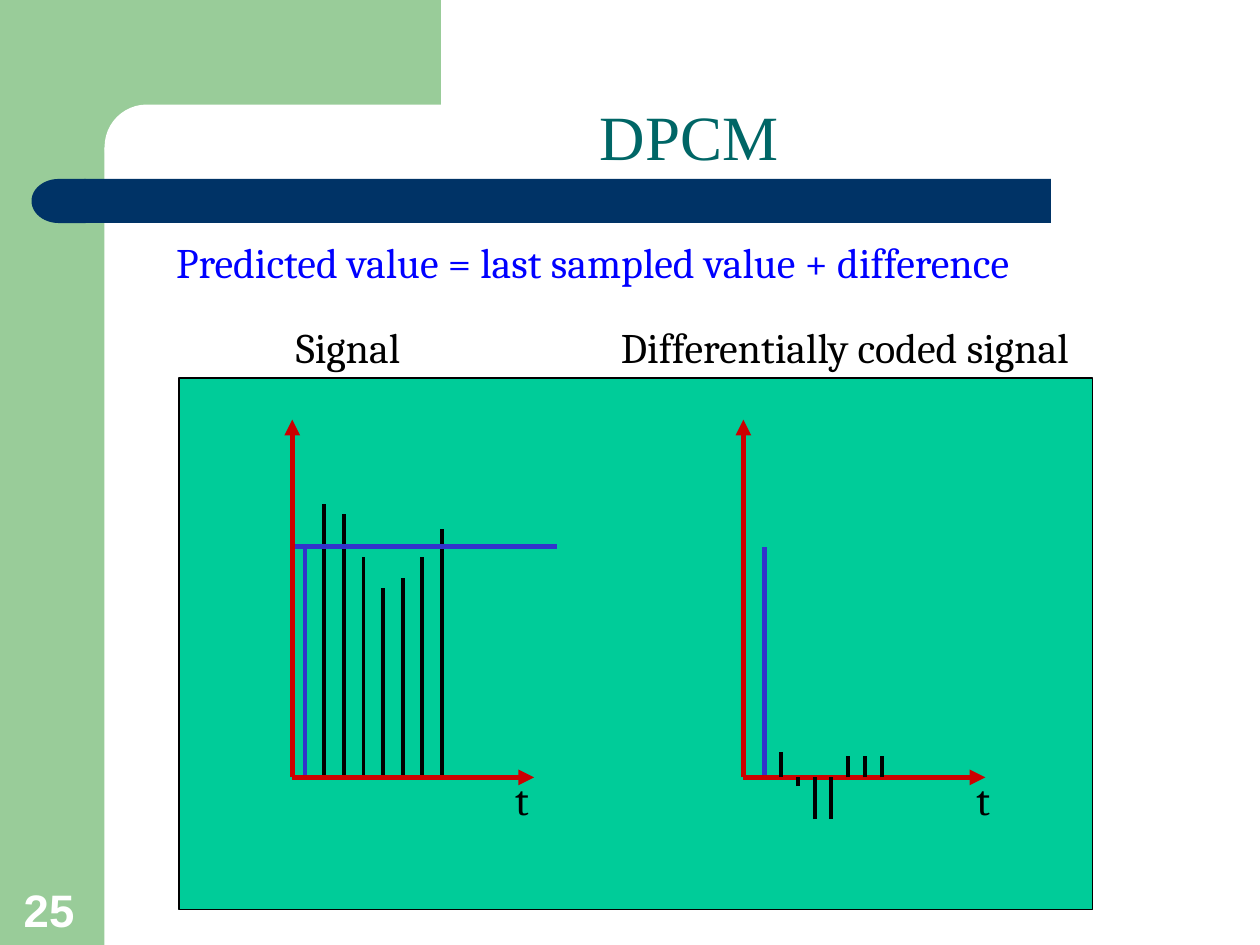
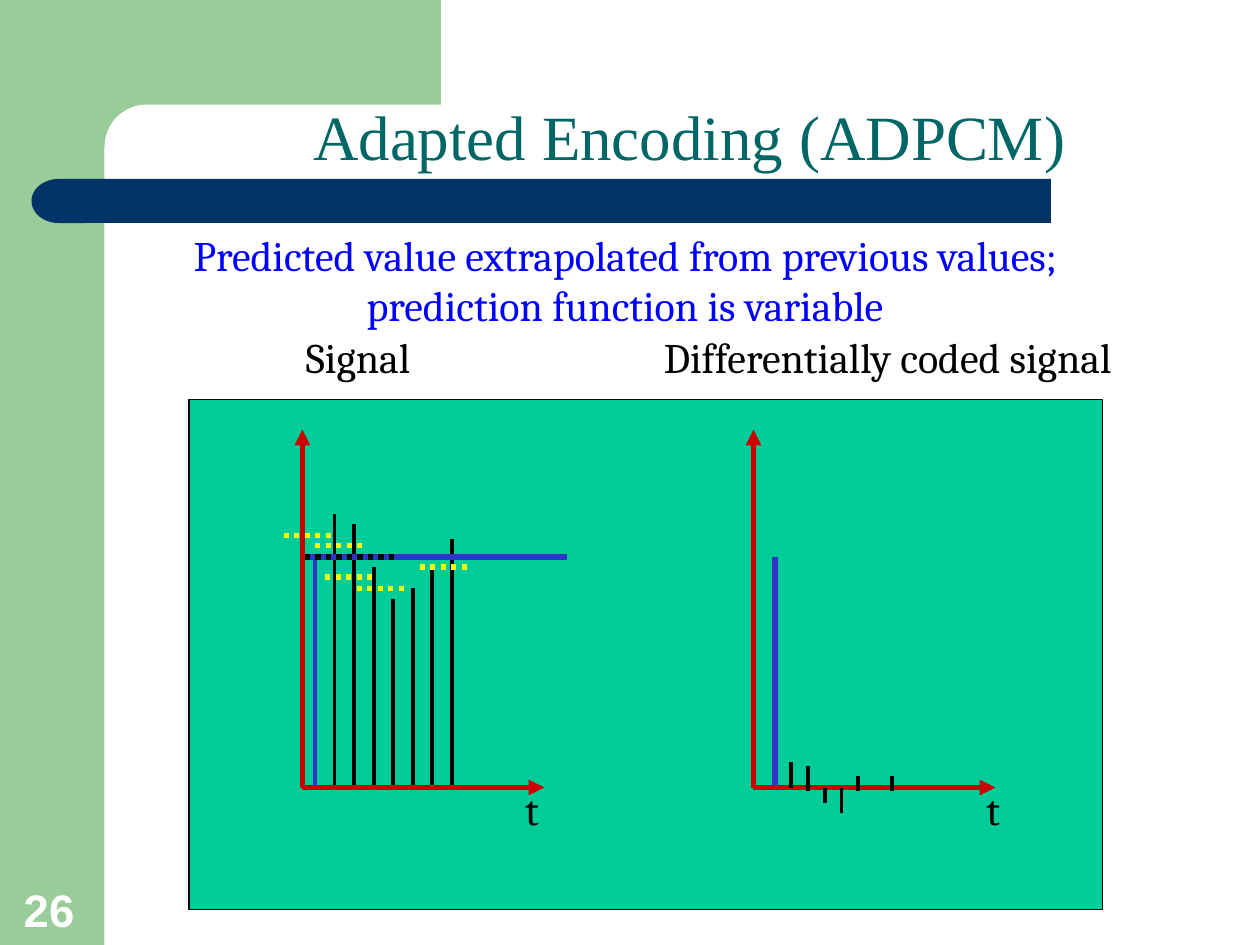
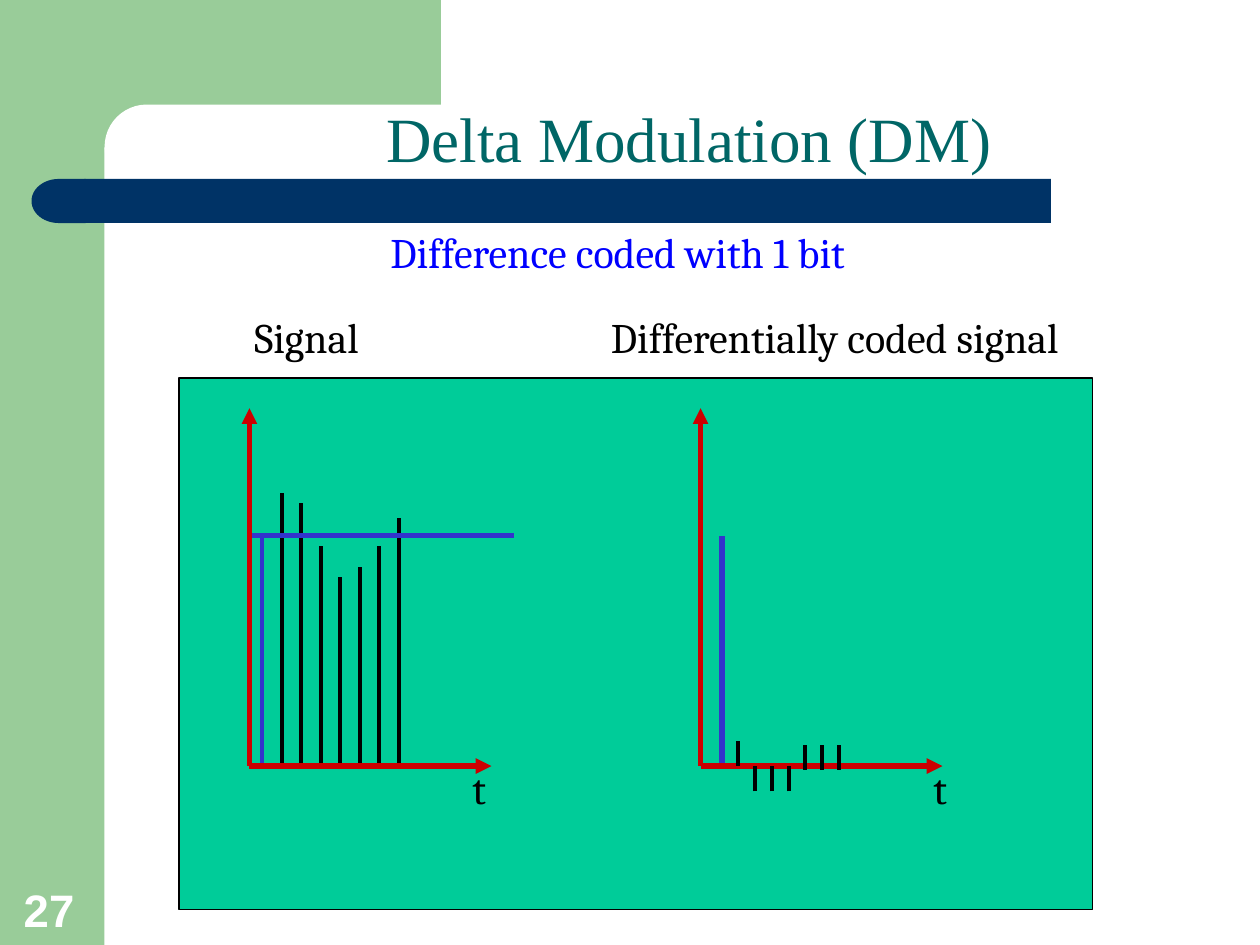
import pptx
import pptx.util
import pptx.dml.color
import pptx.enum.dml
import pptx.enum.shapes
import pptx.enum.text
import pptx.oxml.ns
import lxml.etree

Inches = pptx.util.Inches
SHAPE = pptx.enum.shapes.MSO_SHAPE
ALIGN = pptx.enum.text.PP_ALIGN
ANCHOR = pptx.enum.text.MSO_ANCHOR

COLORS = {
    "leaf": "99CC99",
    "white": "FFFFFF",
    "navy": "003366",
    "title": "006666",
    "panel": "00CC99",
    "black": "000000",
    "statement": "0000FF",
    "axis": "CC0000",
    "reference": "3333CC",
    "prediction": "FFFF00",
}
SAMPLE_HEIGHTS = [2.17, 2.09, 1.75, 1.5, 1.58, 1.75, 1.97]
REFERENCE_HEIGHT = 1.83
CODED_SHIFT = 3.58

SLIDES = [
    dict(
        number=25, title="DPCM", title_top=0.84,
        statement="Predicted value = last sampled value + difference",
        statement_box=(1.3, 1.83, 7.74, 0.5), statement_align=ALIGN.LEFT,
        label_top=2.5, signal_left=2.25, coded_left=4.83,
        panel=(1.42, 3, 7.25, 4.22), origin=(2.32, 6.17),
        differences=[(0, 0.2), (-0.07, 0), (-0.33, 0), (-0.33, 0),
                     (0, 0.17), (0, 0.17), (0, 0.17)],
        predictions=[],
    ),
    dict(
        number=26, title="Adapted Encoding (ADPCM)", title_top=0.84,
        statement="Predicted value extrapolated from previous values; "
                  "prediction function is variable",
        statement_box=(1.42, 1.77, 7.08, 0.9), statement_align=ALIGN.CENTER,
        label_top=2.58, signal_left=2.33, coded_left=5.17,
        panel=(1.5, 3.17, 7.25, 4.05), origin=(2.4, 6.25),
        differences=[(0, 0.2), (-0.03, 0.17), (-0.12, 0), (-0.2, 0),
                     (-0.03, 0.09), None, (-0.03, 0.09)],
        predictions=[
            (2.25, 4.25, 0.39, "prediction"), (2.5, 4.33, 0.39, "prediction"),
            (3.33, 4.5, 0.39, "prediction"), (2.42, 4.42, 0.75, "black"),
            (2.83, 4.67, 0.39, "prediction"), (2.58, 4.58, 0.39, "prediction"),
        ],
    ),
    dict(
        number=27, title="Delta Modulation (DM)", title_top=0.86,
        statement="Difference coded with 1 bit",
        statement_box=(3, 1.75, 4.36, 0.5), statement_align=ALIGN.LEFT,
        label_top=2.42, signal_left=1.92, coded_left=4.75,
        panel=(1.42, 3, 7.25, 4.22), origin=(1.98, 6.08),
        differences=[(0, 0.2)] + [(-0.2, 0)] * 3 + [(-0.03, 0.17)] * 3,
        predictions=[],
    ),
]


def rgb(color):
    """Return the named colour."""
    return pptx.dml.color.RGBColor.from_string(COLORS[color])


def add_text(slide, text, box, font="Cambria", size=24, color="black", bold=False,
             align=ALIGN.LEFT, anchor=ANCHOR.TOP, space_before=0):
    """Add a wrapped line of text in a box."""
    frame = slide.shapes.add_textbox(*map(Inches, box)).text_frame
    frame.word_wrap = True
    frame.vertical_anchor = anchor
    paragraph = frame.paragraphs[0]
    paragraph.alignment = align
    paragraph.space_before = pptx.util.Pt(space_before)
    run = paragraph.add_run()
    run.text = text
    run.font.name = font
    run.font.size = pptx.util.Pt(size)
    run.font.bold = bold
    run.font.color.rgb = rgb(color)


def add_block(slide, kind, box, fill, outline=None):
    """Add a filled preset shape, outlined only on request."""
    block = slide.shapes.add_shape(kind, *map(Inches, box))
    block.shadow.inherit = False
    block.fill.solid()
    block.fill.fore_color.rgb = rgb(fill)
    if outline:
        block.line.color.rgb = rgb(outline)
        block.line.width = pptx.util.Pt(0.75)
    else:
        block.line.fill.background()
    return block


def add_line(slide, start, end, color="black", width=2.25, arrow=False, dotted=False):
    """Add a straight line, with an arrowhead or dots on request."""
    line = slide.shapes.add_connector(
        pptx.enum.shapes.MSO_CONNECTOR.STRAIGHT, *map(Inches, (*start, *end)))
    line.line.color.rgb = rgb(color)
    line.line.width = pptx.util.Pt(width)
    if dotted:
        line.line.dash_style = pptx.enum.dml.MSO_LINE.ROUND_DOT
    qn = pptx.oxml.ns.qn
    properties = line._element.spPr
    if arrow:
        lxml.etree.SubElement(properties.find(qn("a:ln")), qn("a:tailEnd"), type="triangle")
    lxml.etree.SubElement(properties, qn("a:effectLst"))


def add_frame(slide, number, title, title_top):
    """Add the side band, the title with its bar and the slide number."""
    add_block(slide, SHAPE.RECTANGLE, (0, 0, 0.83, 7.5), "leaf")
    add_block(slide, SHAPE.RECTANGLE, (0.75, 0, 2.75, 1.17), "leaf")
    corner = add_block(slide, SHAPE.ROUNDED_RECTANGLE, (0.83, 0.83, 3.42, 0.67), "white")
    corner.adjustments[0] = 0.5
    add_text(slide, str(number), (0.09, 6.94, 0.64, 0.54), font="Arial", size=26,
             color="white", bold=True, anchor=ANCHOR.BOTTOM)
    add_block(slide, SHAPE.RECTANGLE, (0.67, 1.42, 7.67, 0.35), "navy")
    bar_end = add_block(slide, SHAPE.FLOWCHART_DELAY, (0.25, 1.42, 0.43, 0.35), "navy")
    bar_end.rotation = 180
    add_text(slide, title, (0.94, title_top, 9.06, 0.58), font="Times New Roman",
             size=36, color="title", align=ALIGN.CENTER, anchor=ANCHOR.BOTTOM)


def add_axes(slide, x, y, time_offset):
    """Add the two axes from their origin and the time label."""
    for end in ((x, y - 2.84), (x + 1.92, y)):
        add_line(slide, (x, y), end, "axis", 3, arrow=True)
    add_text(slide, "t", (x + time_offset, y - 0.08, 0.33, 0.5), space_before=15)


def add_signal_plot(slide, x, y):
    """Add the sampled signal with its reference level."""
    first = x + 0.1
    add_line(slide, (first, y), (first, y - 1.81), "reference")
    for index, height in enumerate(SAMPLE_HEIGHTS, 1):
        sample = first + 0.155 * index
        add_line(slide, (sample, y), (sample, y - height))
    add_axes(slide, x, y, 1.67)
    level = y - REFERENCE_HEIGHT
    add_line(slide, (x + 0.02, level), (x + 2.1, level), "reference", 3)


def add_coded_plot(slide, x, y, differences):
    """Add the first value and the differences that follow it."""
    add_line(slide, (x + 0.17, y), (x + 0.17, y - REFERENCE_HEIGHT), "reference", 3)
    add_axes(slide, x, y, 1.75)
    for index, difference in enumerate(differences):
        if difference:
            low, high = difference
            step = x + 0.3 + 0.133 * index
            add_line(slide, (step, y - low), (step, y - high))


def add_coding_slide(deck, content):
    """Add one slide on a coding method."""
    slide = deck.slides.add_slide(deck.slide_layouts[6])
    add_frame(slide, content["number"], content["title"], content["title_top"])
    add_text(slide, content["statement"], content["statement_box"], color="statement",
             align=content["statement_align"], space_before=15)
    for label, left, width in (("Signal", content["signal_left"], 1.17),
                               ("Differentially coded signal", content["coded_left"], 4.08)):
        add_text(slide, label, (left, content["label_top"], width, 0.5), space_before=15)
    add_block(slide, SHAPE.RECTANGLE, content["panel"], "panel", outline="black")
    x, y = content["origin"]
    add_signal_plot(slide, x, y)
    add_coded_plot(slide, x + CODED_SHIFT, y, content["differences"])
    for left, level, width, color in content["predictions"]:
        add_line(slide, (left, level), (left + width, level), color, 3, dotted=True)


def main():
    """Build the deck and save it."""
    deck = pptx.Presentation()
    deck.slide_width = Inches(10)
    deck.slide_height = Inches(7.5)
    for content in SLIDES:
        add_coding_slide(deck, content)
    deck.save("out.pptx")


if __name__ == "__main__":
    main()
